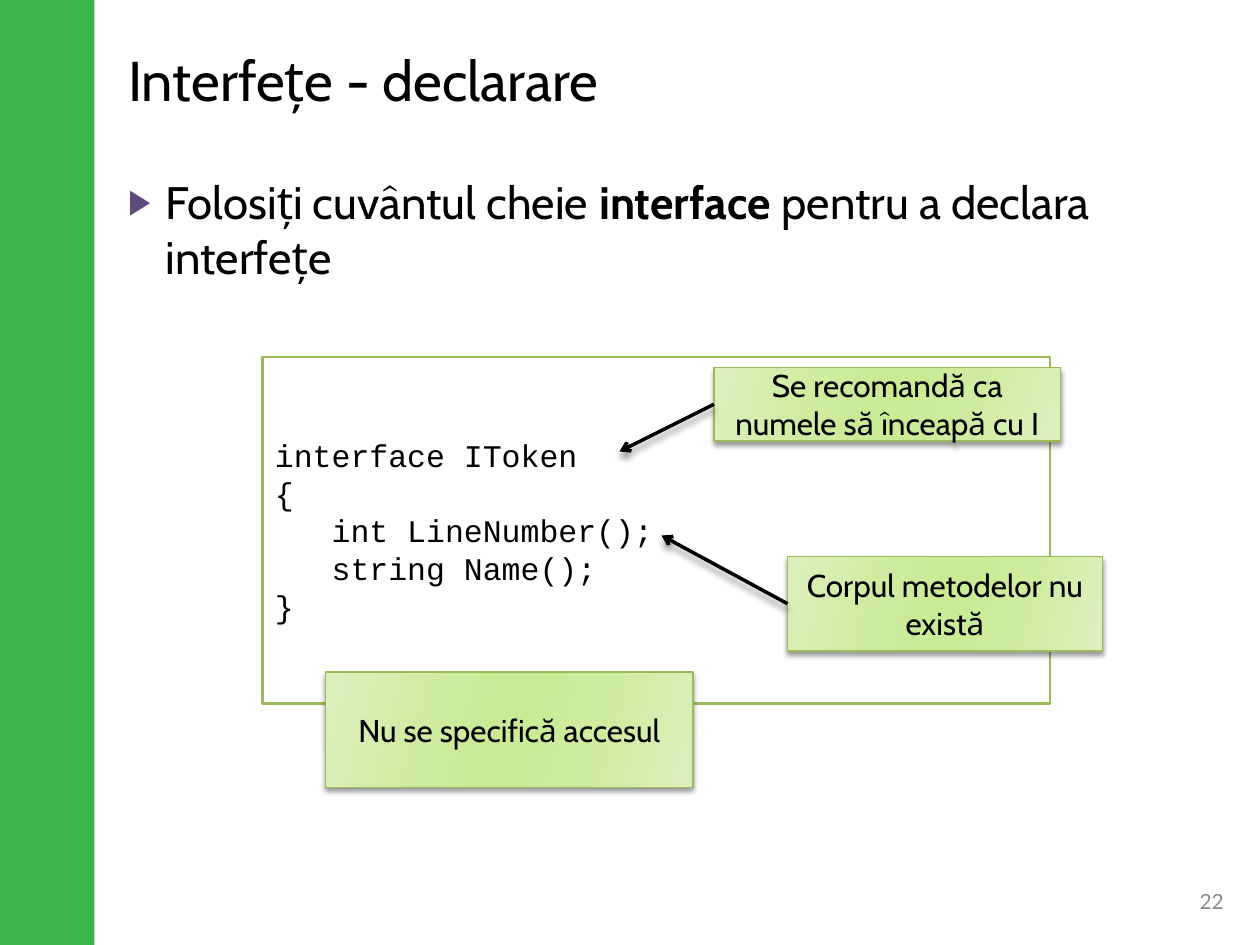
import dataclasses

import lxml.etree
import pptx
import pptx.dml.color
import pptx.enum.shapes
import pptx.enum.text
import pptx.oxml
import pptx.oxml.ns
import pptx.util

ANCHOR = pptx.enum.text.MSO_ANCHOR
ALIGN = pptx.enum.text.PP_ALIGN
RECTANGLE = pptx.enum.shapes.MSO_SHAPE.RECTANGLE
STRAIGHT = pptx.enum.shapes.MSO_CONNECTOR.STRAIGHT


@dataclasses.dataclass(frozen=True)
class Theme:
    text_font: str = "Cabin"
    code_font: str = "Courier New"
    number_font: str = "Lato"
    ink: str = "000000"
    paper: str = "FFFFFF"
    band: str = "3BB44A"
    border: str = "9BBB59"
    bullet: str = "604A7B"
    muted: str = "8C8C8C"
    callout_stops: tuple = (
        (0, "DCF0BE"), (30, "CEECA0"), (45, "C9EB96"),
        (55, "C9EB96"), (73, "CEECA0"), (100, "DCF0BE"),
    )
    title_size: int = 32
    body_size: int = 26
    label_size: int = 18
    number_size: int = 12


@dataclasses.dataclass(frozen=True)
class Box:
    left: float
    top: float
    width: float
    height: float

    def inner(self, column, row, columns, rows):
        return Box(self.left + column, self.top + row, columns, rows)

    def frame(self):
        return [cells(n) for n in (self.left, self.top, self.width, self.height)]


THEME = Theme()
CELLS_PER_INCH = 12


def cells(count):
    return pptx.util.Inches(count / CELLS_PER_INCH)


def colour(value):
    return pptx.dml.color.RGBColor.from_string(value)


def add_xml(parent, tag, **attributes):
    return lxml.etree.SubElement(parent, pptx.oxml.ns.qn(tag), attributes)


def format_text(text_frame, font, size, shade, align, anchor):
    text_frame.word_wrap = True
    text_frame.auto_size = pptx.enum.text.MSO_AUTO_SIZE.NONE
    text_frame.vertical_anchor = anchor
    for para in text_frame.paragraphs:
        para.alignment = align
        for span in para.runs:
            span.font.name = font
            span.font.size = pptx.util.Pt(size)
            span.font.color.rgb = colour(shade)


def place(shape, box):
    shape.left, shape.top, shape.width, shape.height = box.frame()


def add_rectangle(page, box, fill, line=None, weight=0):
    shape = page.shapes.add_shape(RECTANGLE, *box.frame())
    shape.fill.solid()
    shape.fill.fore_color.rgb = colour(fill)
    if line:
        shape.line.color.rgb = colour(line)
        shape.line.width = pptx.util.Pt(weight)
    else:
        shape.line.fill.background()
    shape.shadow.inherit = False
    return shape


def add_gradient(shape, stops, angle):
    properties = shape.element.spPr
    solid = properties.find(pptx.oxml.ns.qn("a:solidFill"))
    gradient = pptx.oxml.parse_xml(
        "<a:gradFill %s/>" % pptx.oxml.ns.nsdecls("a"))
    stop_list = add_xml(gradient, "a:gsLst")
    for position, value in stops:
        stop = add_xml(stop_list, "a:gs", pos=str(position * 1000))
        add_xml(stop, "a:srgbClr", val=value)
    add_xml(gradient, "a:lin", ang=str(angle * 60000), scaled="0")
    properties.replace(solid, gradient)


def add_shadow(shape, blur, distance):
    properties = shape.element.spPr
    effects = properties.find(pptx.oxml.ns.qn("a:effectLst"))
    if effects is None:
        effects = add_xml(properties, "a:effectLst")
    shadow = add_xml(
        effects, "a:outerShdw", blurRad=str(pptx.util.Pt(blur)),
        dist=str(pptx.util.Pt(distance)), dir="5400000", rotWithShape="0")
    shade = add_xml(shadow, "a:srgbClr", val=THEME.ink)
    add_xml(shade, "a:alpha", val="40000")


def build_title(page, box):
    title = page.shapes.title
    place(title, box)
    title.text_frame.text = "Interfețe - declarare"
    format_text(title.text_frame, THEME.text_font, THEME.title_size,
                THEME.ink, ALIGN.LEFT, ANCHOR.MIDDLE)


def build_body(page, box):
    body = page.placeholders[1]
    place(body, box)
    para = body.text_frame.paragraphs[0]
    para.space_before = pptx.util.Pt(6)
    for words, bold in (("Folosiți cuvântul cheie ", False),
                        ("interface", True),
                        (" pentru a declara interfețe", False)):
        span = para.add_run()
        span.text = words
        span.font.bold = bold
    format_text(body.text_frame, THEME.text_font, THEME.body_size,
                THEME.ink, ALIGN.LEFT, ANCHOR.TOP)
    properties = para._p.get_or_add_pPr()
    indent = pptx.util.Inches(0.3)
    properties.set("marL", str(indent))
    properties.set("indent", str(-indent))
    bullet_colour = add_xml(properties, "a:buClr")
    add_xml(bullet_colour, "a:srgbClr", val=THEME.bullet)
    add_xml(properties, "a:buSzPct", val="76000")
    add_xml(properties, "a:buChar", char="▶")


def build_code(page, box):
    panel = add_rectangle(page, box, THEME.paper, THEME.border, 1.5)
    lines = (("interface IToken", 0), ("{", 0), ("int LineNumber();", 1),
             ("string Name();", 1), ("}", 0))
    panel.text_frame.text = "\n".join(words for words, level in lines)
    format_text(panel.text_frame, THEME.code_font, THEME.label_size,
                THEME.ink, ALIGN.LEFT, ANCHOR.MIDDLE)
    for para, (words, level) in zip(panel.text_frame.paragraphs, lines):
        para._p.get_or_add_pPr().set("marL", str(level * pptx.util.Inches(0.45)))


def build_callout(page, box, words):
    label = add_rectangle(page, box, THEME.paper, THEME.border, 0.75)
    add_gradient(label, THEME.callout_stops, 16)
    add_shadow(label, 3, 2)
    label.text_frame.text = words
    format_text(label.text_frame, THEME.text_font, THEME.label_size,
                THEME.ink, ALIGN.CENTER, ANCHOR.MIDDLE)


def build_arrow(page, box, tip):
    middle = box.top + box.height / 2
    arrow = page.shapes.add_connector(
        STRAIGHT, cells(box.left), cells(middle), cells(tip.left), cells(tip.top))
    arrow.line.color.rgb = colour(THEME.ink)
    arrow.line.width = pptx.util.Pt(2)
    outline = arrow.element.spPr.find(pptx.oxml.ns.qn("a:ln"))
    add_xml(outline, "a:tailEnd", type="arrow")
    add_shadow(arrow, 4, 3.4)


def build_diagram(page, box):
    build_code(page, box)
    callouts = (
        ("Se recomandă ca numele să înceapă cu I", (43, 1, 33, 7), (34, 9)),
        ("Corpul metodelor nu există", (50, 19, 30, 9), (38, 17)),
        ("Nu se specifică accesul", (6, 30, 35, 11), None),
    )
    for words, area, tip in callouts:
        label_box = box.inner(*area)
        build_callout(page, label_box, words)
        if tip:
            build_arrow(page, label_box, box.inner(*tip, 0, 0))


def build_number(page, box):
    number = page.shapes.add_textbox(*box.frame())
    number.text_frame.text = "22"
    format_text(number.text_frame, THEME.number_font, THEME.number_size,
                THEME.muted, ALIGN.CENTER, ANCHOR.MIDDLE)


def main():
    deck = pptx.Presentation()
    deck.slide_width, deck.slide_height = cells(120), cells(90)
    page = deck.slides.add_slide(deck.slide_layouts[1])
    add_rectangle(page, Box(0, 0, 9, 90), THEME.band)
    build_title(page, Box(11, 3, 108, 9))
    build_body(page, Box(11, 16, 108, 65))
    build_number(page, Box(112, 83.4, 6.8, 4.8))
    build_diagram(page, Box(25, 34, 75, 33))
    deck.save("out.pptx")


if __name__ == "__main__":
    main()
